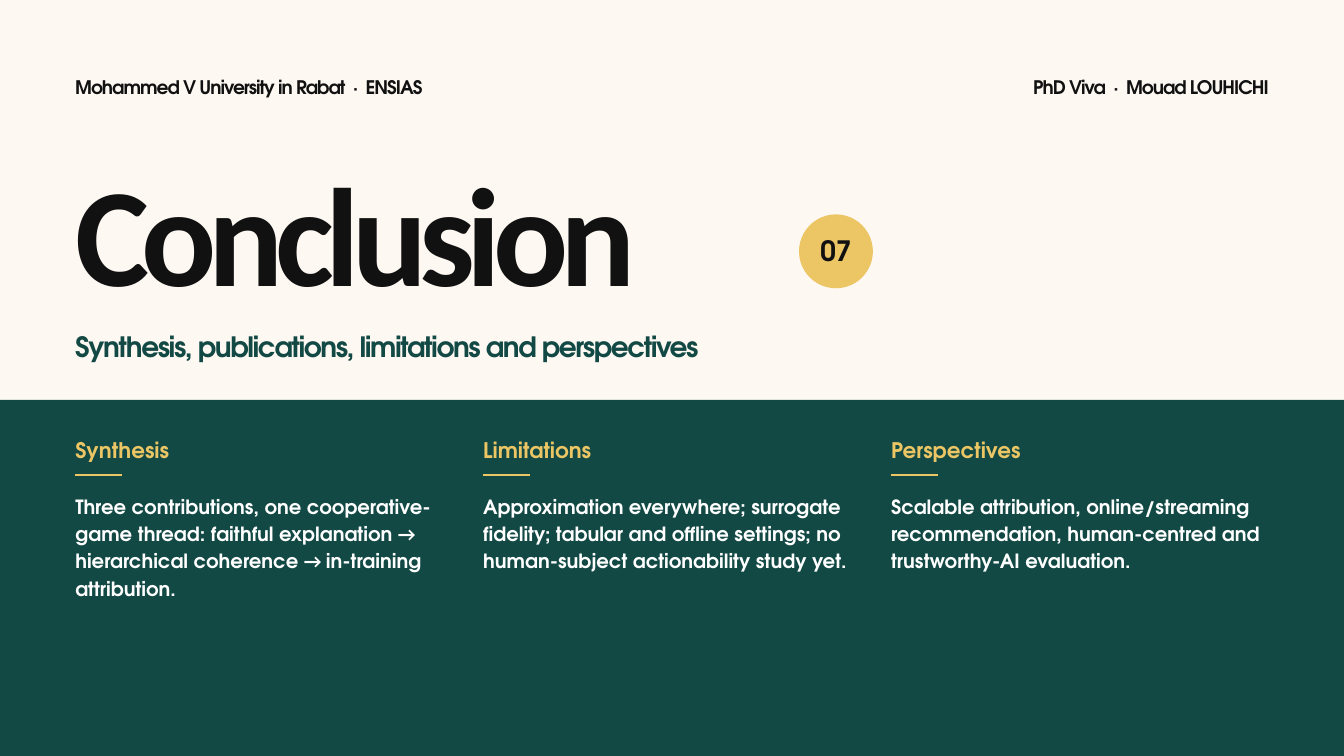
from dataclasses import dataclass
from itertools import cycle

from lxml import etree
from pptx import Presentation
from pptx import util as u
from pptx.dml.color import RGBColor
from pptx.enum import shapes, text
from pptx.oxml.ns import qn

WIDTH, HEIGHT = 20, 11.25
MARGIN, GAP, COLUMNS = 1.12, 0.45, 3
CONTENT = WIDTH - 2 * MARGIN
COLUMN = (CONTENT - (COLUMNS - 1) * GAP) / COLUMNS
BAND_TOP = 5.95
HEADER_WIDTH = 0.4 * WIDTH

COLORS = {"paper": "FEF8F3", "ink": "111111", "green": "124944",
          "gold": "ECC665", "white": "FFFFFF"}
SANS, ARROW_FONT = "TeX Gyre Adventor", "Calibri"


@dataclass
class Style:
    size: float
    leading: float
    color: str
    spacing: float = 0
    font: str = SANS


@dataclass
class Area:
    left: float
    top: float
    width: float
    height: float

    def emu(self) -> list:
        return [u.Inches(n) for n in (self.left, self.top, self.width, self.height)]


@dataclass
class Topic:
    heading: str
    pieces: list  # plain text and arrows in turn


HEADER = Style(20, 28, "ink", -1.1)
TITLE = Style(150, 153, "ink", -8.7, "Calibri")
NUMBER = Style(30, 34, "ink")
SUBTITLE = Style(30, 38, "green", -1.5)
HEADING = Style(23, 28, "gold")
BODY = Style(21, 29.4, "white")

TOPICS = [
    Topic("Synthesis", [
        "Three contributions, one cooperative-game thread: faithful explanation ", "→ ",
        "hierarchical coherence ", "→ ", "in-training attribution."]),
    Topic("Limitations", [
        "Approximation everywhere; surrogate fidelity; tabular and offline settings; "
        "no human-subject actionability study yet."]),
    Topic("Perspectives", [
        "Scalable attribution, online/streaming recommendation, human-centred and "
        "trustworthy-AI evaluation."]),
]


def rgb(name: str) -> RGBColor:
    return RGBColor.from_string(COLORS[name])


def add_text(page, area: Area, pieces: list, style: Style,
             align=text.PP_ALIGN.LEFT, anchor=text.MSO_ANCHOR.TOP) -> None:
    """Write one paragraph; every second piece is set in the arrow font."""
    frame = page.shapes.add_textbox(*area.emu()).text_frame
    frame.word_wrap = True
    frame.vertical_anchor = anchor
    frame.margin_left = frame.margin_right = frame.margin_top = frame.margin_bottom = 0
    para = frame.paragraphs[0]
    para.alignment = align
    para.line_spacing = u.Pt(style.leading)
    for piece, font in zip(pieces, cycle([style.font, ARROW_FONT])):
        span = para.add_run()
        span.text = piece
        span.font.name = font
        span.font.size = u.Pt(style.size)
        span.font.bold = True
        span.font.color.rgb = rgb(style.color)
        if style.spacing:
            span.font._element.set("spc", str(round(style.spacing * 100)))


def add_block(page, kind, area: Area, color: str) -> None:
    block = page.shapes.add_shape(kind, *area.emu())
    block.shadow.inherit = False
    block.fill.solid()
    block.fill.fore_color.rgb = rgb(color)
    block.line.fill.background()


def add_rule(page, left: float, top: float, length: float) -> None:
    rule = page.shapes.add_connector(
        shapes.MSO_CONNECTOR.STRAIGHT,
        u.Inches(left), u.Inches(top), u.Inches(left + length), u.Inches(top))
    rule.line.color.rgb = rgb("gold")
    rule.line.width = u.Pt(2.5)
    etree.SubElement(rule._element.spPr, qn("a:effectLst"))


def add_topic(page, index: int, topic: Topic) -> None:
    left = MARGIN + index * (COLUMN + GAP)
    add_text(page, Area(left, 6.5, COLUMN, 0.5), [topic.heading], HEADING)
    add_rule(page, left, 7.07, 0.7)
    add_text(page, Area(left, 7.3, COLUMN, 3.4), topic.pieces, BODY)


def main() -> None:
    deck = Presentation()
    deck.slide_width, deck.slide_height = u.Inches(WIDTH), u.Inches(HEIGHT)
    page = deck.slides.add_slide(deck.slide_layouts[6])
    page.background.fill.solid()
    page.background.fill.fore_color.rgb = rgb("paper")

    # Running header
    add_text(page, Area(MARGIN, 1.08, HEADER_WIDTH, 0.4),
             ["Mohammed V University in Rabat  ·  ENSIAS"], HEADER)
    add_text(page, Area(WIDTH - MARGIN - HEADER_WIDTH, 1.08, HEADER_WIDTH, 0.4),
             ["PhD Viva  ·  Mouad LOUHICHI"], HEADER, text.PP_ALIGN.RIGHT)

    # Title, section number and subtitle
    add_text(page, Area(MARGIN, 2.55, 16.25, 2.5), ["Conclusion"], TITLE)
    badge = Area(11.89, 3.19, 1.1, 1.1)
    add_block(page, shapes.MSO_SHAPE.OVAL, badge, "gold")
    add_text(page, badge, ["07"], NUMBER, text.PP_ALIGN.CENTER, text.MSO_ANCHOR.MIDDLE)
    add_text(page, Area(MARGIN, 4.88, CONTENT, 0.7),
             ["Synthesis, publications, limitations and perspectives"], SUBTITLE)

    # Green band with the three topics
    add_block(page, shapes.MSO_SHAPE.RECTANGLE,
              Area(0, BAND_TOP, WIDTH, HEIGHT - BAND_TOP), "green")
    for index, topic in enumerate(TOPICS):
        add_topic(page, index, topic)

    deck.save("out.pptx")


if __name__ == "__main__":
    main()
